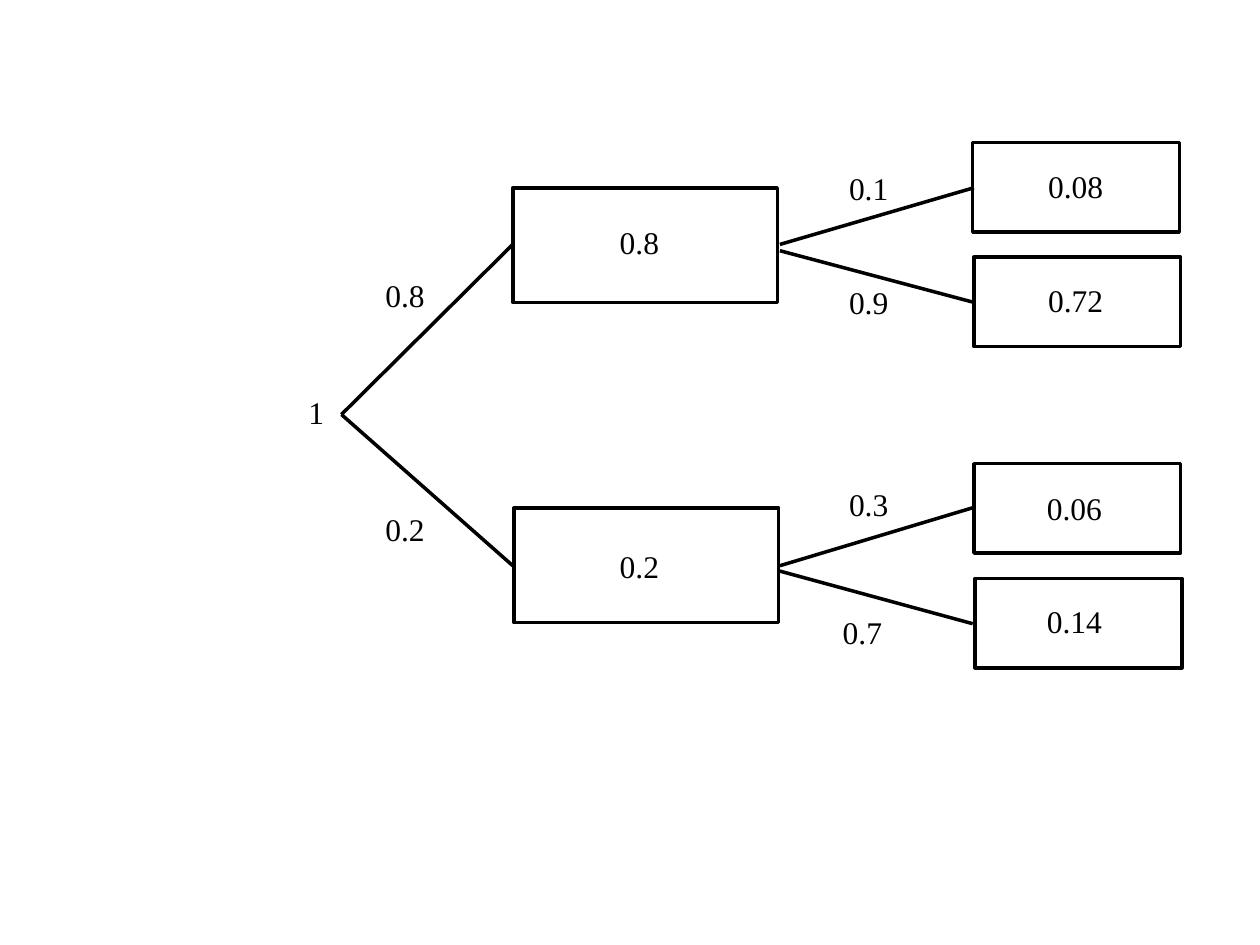
import pptx
import pptx.util
import pptx.dml.color
import pptx.enum.shapes
import pptx.enum.text
from pptx.util import Inches


def color(hex_string):
    """Return the RGB colour for a hex string."""
    return pptx.dml.color.RGBColor.from_string(hex_string)


def style_line(shape):
    """Give a box or branch the diagram's black outline."""
    shape.line.color.rgb = color("000000")
    shape.line.width = pptx.util.Pt(2)


presentation = pptx.Presentation()
presentation.slide_width = Inches(10)
presentation.slide_height = Inches(7.5)
slide = presentation.slides.add_slide(presentation.slide_layouts[6])

# Branches: start x, start y, end x, end y
branches = [
    (2.71, 3.29, 4.07, 1.94),
    (2.71, 3.29, 4.07, 4.49),
    (6.19, 4.49, 7.72, 4.03),
    (6.18, 4.53, 7.72, 4.95),
    (6.19, 1.94, 7.73, 1.49),
    (6.19, 1.99, 7.73, 2.4),
]
for ends in branches:
    branch = slide.shapes.add_connector(
        pptx.enum.shapes.MSO_CONNECTOR.STRAIGHT, *map(Inches, ends))
    style_line(branch)
    branch._element.spPr.append(pptx.oxml.xmlchemy.OxmlElement("a:effectLst"))

# Outcome boxes: size of each level, then left and top of each box
levels = [
    ((2.1, 0.91), [(4.07, 1.49), (4.08, 4.03)]),
    ((1.64, 0.71), [(7.72, 1.13), (7.73, 2.04), (7.73, 3.68), (7.74, 4.59)]),
]
for size, positions in levels:
    for position in positions:
        box = slide.shapes.add_shape(
            pptx.enum.shapes.MSO_SHAPE.RECTANGLE, *map(Inches, position + size))
        box.shadow.inherit = False
        box.fill.background()
        style_line(box)

# Probabilities: text, left, top
probabilities = [
    ("1", 2.35, 3.07),
    ("0.8", 4.82, 1.72),
    ("0.2", 4.82, 4.29),
    ("0.8", 2.96, 2.14),
    ("0.2", 2.96, 4),
    ("0.1", 6.64, 1.29),
    ("0.9", 6.64, 2.2),
    ("0.3", 6.64, 3.8),
    ("0.7", 6.59, 4.82),
    ("0.08", 8.22, 1.28),
    ("0.72", 8.22, 2.18),
    ("0.06", 8.21, 3.83),
    ("0.14", 8.21, 4.73),
]
font_format = {"name": "Times New Roman", "size": pptx.util.Pt(18)}
for text, left, top in probabilities:
    label = slide.shapes.add_textbox(
        Inches(left), Inches(top), Inches(0.97), Inches(0.4))
    label.text_frame.word_wrap = True
    label.text_frame.auto_size = pptx.enum.text.MSO_AUTO_SIZE.SHAPE_TO_FIT_TEXT
    run = label.text_frame.paragraphs[0].add_run()
    run.text = text
    run.font.color.rgb = color("000000")
    for attribute, value in font_format.items():
        setattr(run.font, attribute, value)

presentation.save("out.pptx")
